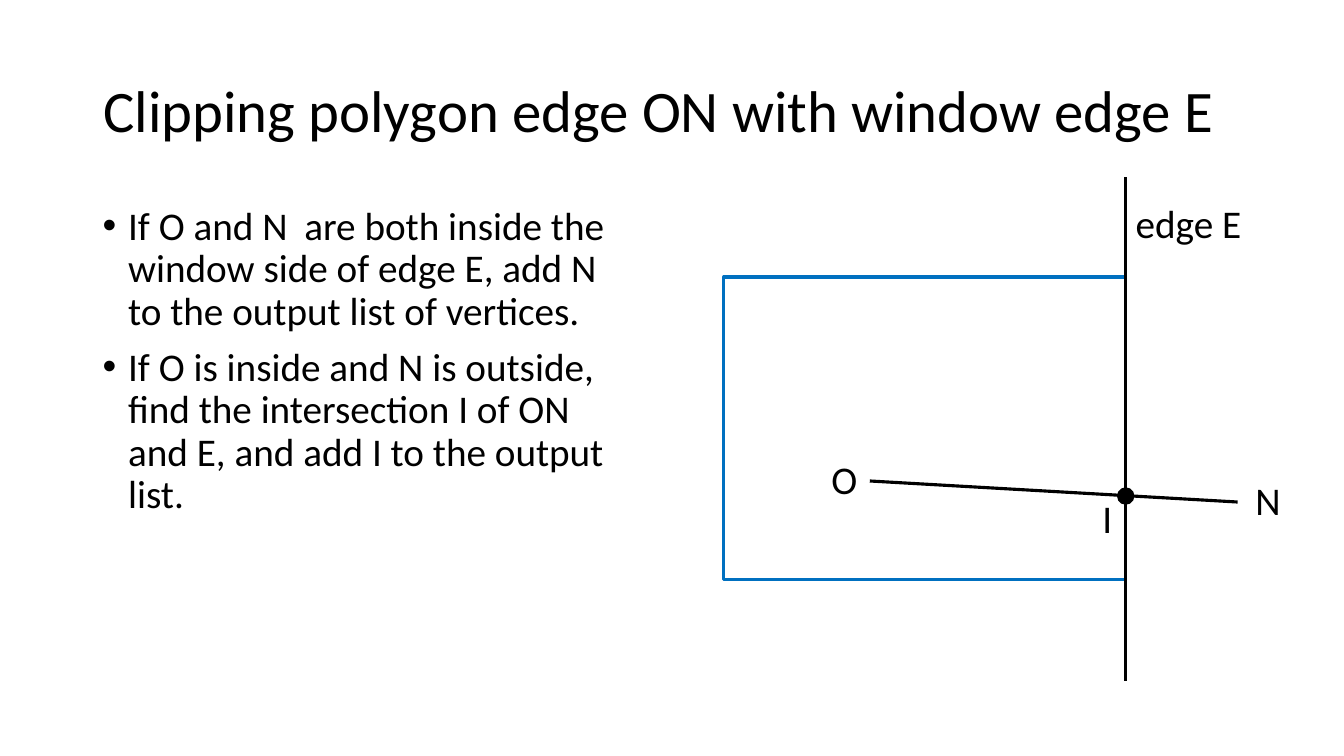
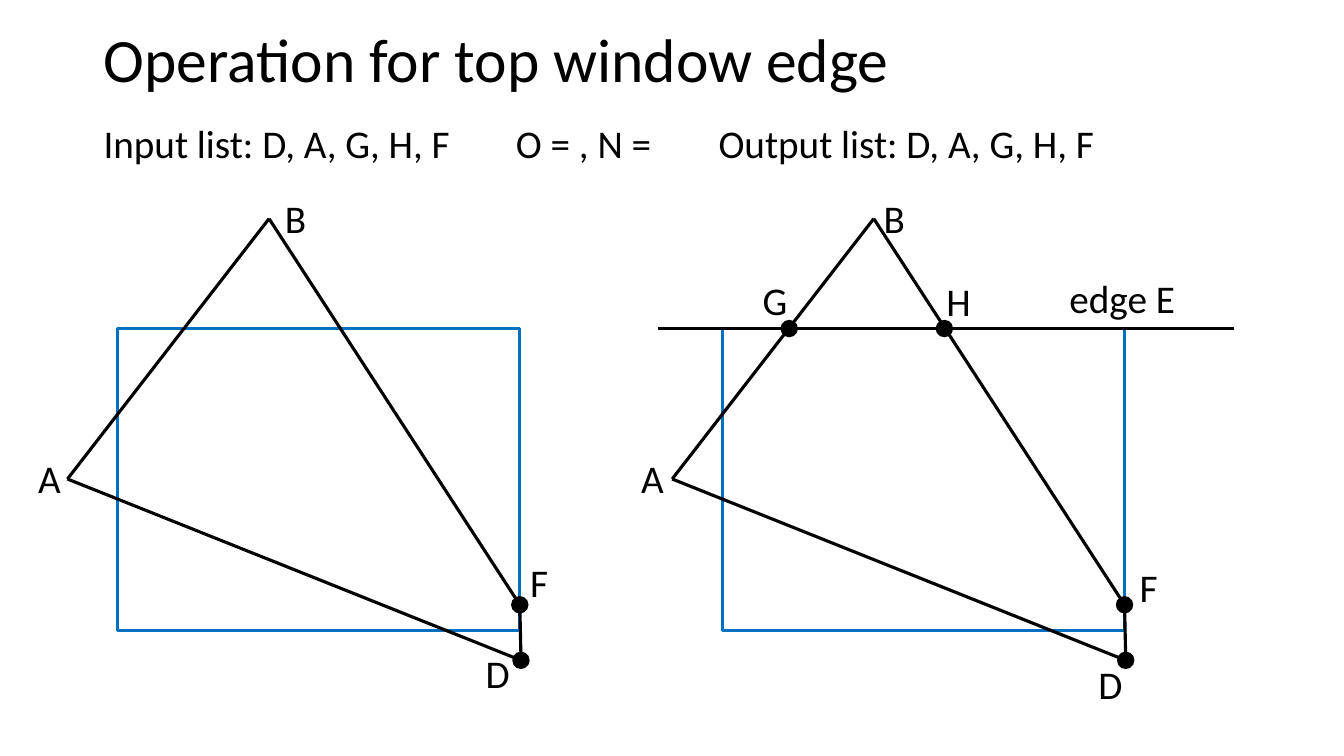
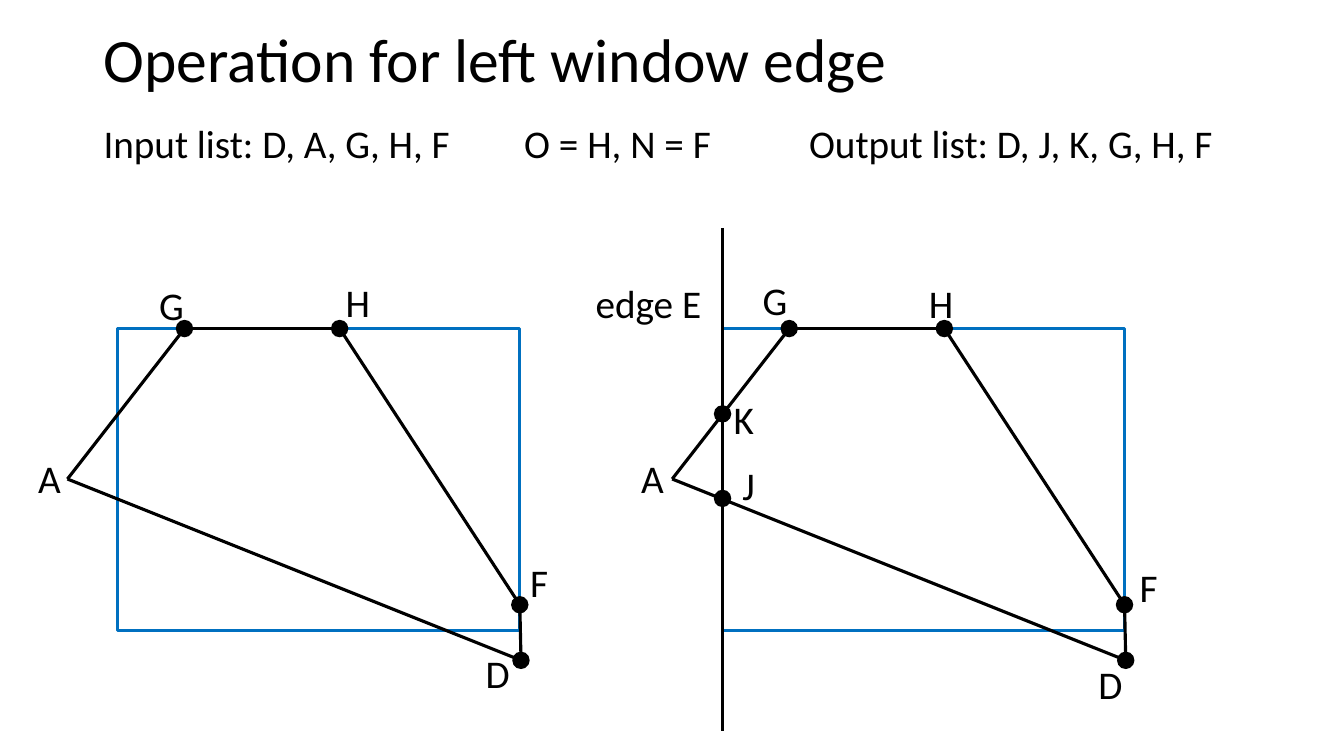
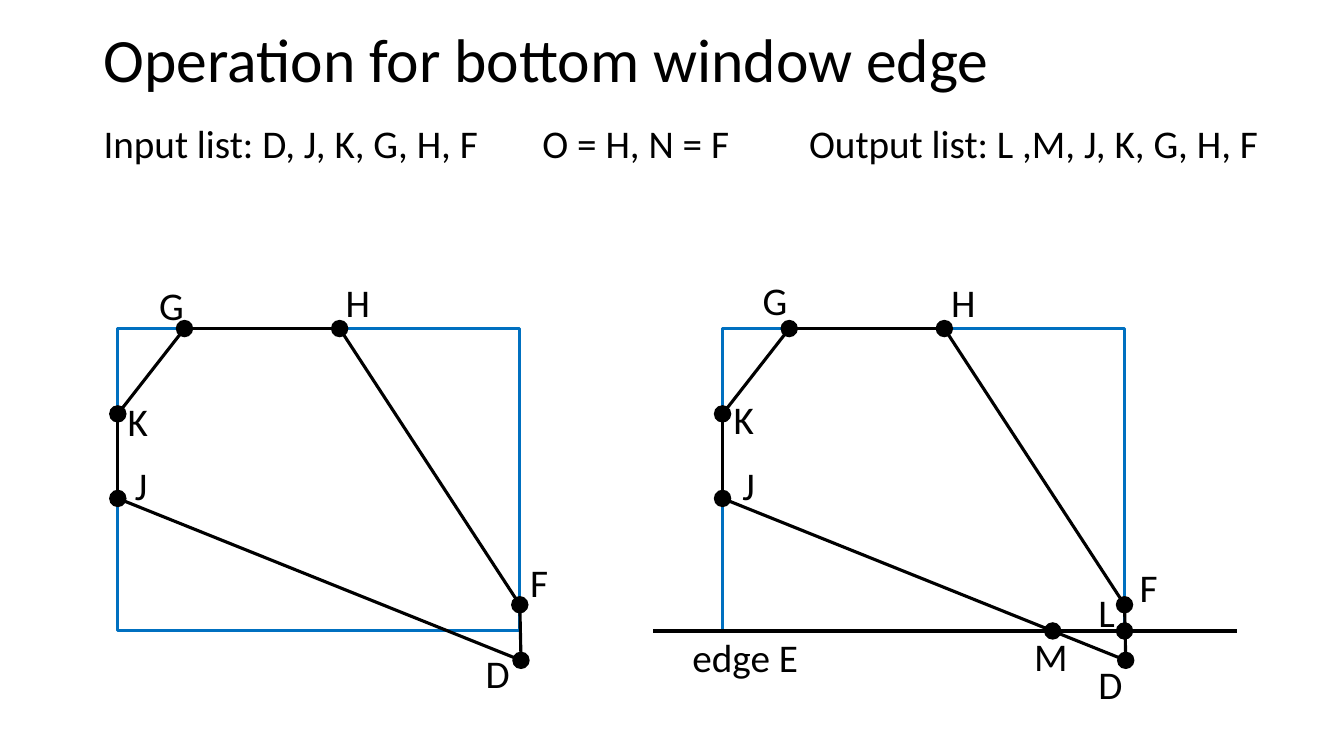
from dataclasses import dataclass

from lxml import etree
from pptx import Presentation
from pptx.dml.color import RGBColor
from pptx.enum import shapes, text
from pptx.oxml import ns
from pptx.util import Cm, Pt


@dataclass(frozen=True)
class Theme:
    font: str = "Calibri"
    ink: RGBColor = RGBColor(0x00, 0x00, 0x00)
    window: RGBColor = RGBColor(0x00, 0x70, 0xC0)
    line_width: float = 2.25
    long_title: int = 42
    title: int = 44
    body: int = 28
    spacing: float = 0.9
    before: int = 10


THEME = Theme()
TITLE_ONLY = 5
DOT = 0.44
PANEL_STEP = 15.24  # from the left figure to the right one

# Figure geometry in cm, given for the left figure.
WINDOW = (2.97, 8.28, 10.13, 7.62)
LEFT, TOP = WINDOW[:2]
RIGHT, BOTTOM = LEFT + WINDOW[2], TOP + WINDOW[3]
VERTICES = {
    "A": (1.7, 12.07), "B": (6.78, 5.51), "D": (13.13, 16.64),
    "F": (RIGHT, 15.24), "G": (4.65, TOP), "H": (8.56, TOP),
    "J": (LEFT, 12.56), "K": (LEFT, 10.43),
    "L": (RIGHT, BOTTOM), "M": (11.29, BOTTOM),
}
LEFT_LABELS = {
    "A": (0.71, 11.46), "B": (6.93, 4.9), "D": (11.99, 16.36),
    "F": (13.11, 14.07), "G": (3.76, 7.09), "H": (8.46, 7.01),
    "J": (3.15, 11.63), "K": (2.97, 10.01),
}
RIGHT_LABELS = {
    "A": (0.67, 11.47), "B": (6.78, 4.9), "D": (12.19, 16.64),
    "F": (13.23, 14.2), "G": (3.73, 6.96), "H": (8.42, 7.0),
    "J": (3.22, 11.63), "K": (3.0, 9.98),
    "L": (12.19, 14.83), "M": (10.57, 15.95),
}


def format_runs(p, size):
    for r in p.runs:
        r.font.name = THEME.font
        r.font.size = Pt(size)
        r.font.color.rgb = THEME.ink


def add_titled_slide(prs, title, size=THEME.title, top=0, height=3.15):
    slide = prs.slides.add_slide(prs.slide_layouts[TITLE_ONLY])
    sp = slide.shapes.title
    sp.left, sp.top, sp.width, sp.height = Cm(2.35), Cm(top), Cm(29.21), Cm(height)
    tf = sp.text_frame
    tf.text = title
    tf.auto_size = text.MSO_AUTO_SIZE.NONE
    tf.vertical_anchor = text.MSO_ANCHOR.MIDDLE
    p = tf.paragraphs[0]
    p.alignment = text.PP_ALIGN.LEFT
    p.line_spacing = THEME.spacing
    format_runs(p, size)
    return slide


def add_text(slide, lines, x, y, width, height, spaced=True):
    tf = slide.shapes.add_textbox(Cm(x), Cm(y), Cm(width), Cm(height)).text_frame
    tf.word_wrap = True
    tf.text = "\n".join(lines)
    for p in tf.paragraphs:
        if spaced:
            p.line_spacing = THEME.spacing
            p.space_before = Pt(THEME.before)
        format_runs(p, THEME.body)
    return tf


def add_bullets(slide, lines, x, y, width, height):
    for p in add_text(slide, lines, x, y, width, height).paragraphs:
        pPr = p._p.get_or_add_pPr()
        pPr.set("marL", str(Cm(0.64)))
        pPr.set("indent", str(-Cm(0.64)))
        etree.SubElement(pPr, ns.qn("a:buFont"), typeface="Arial")
        etree.SubElement(pPr, ns.qn("a:buChar"), char="•")


def add_lists_row(slide, parts, stops):
    """Write the parts on one line, each after the first at a tab stop."""
    tf = add_text(slide, ["\t".join(parts)], 2.36, 2.87, 30.25, 1.45, spaced=False)
    tabs = etree.SubElement(tf.paragraphs[0]._p.get_or_add_pPr(), ns.qn("a:tabLst"))
    for stop in stops:
        etree.SubElement(tabs, ns.qn("a:tab"), pos=str(Cm(stop)), algn="l")


def add_label(slide, caption, x, y):
    add_text(slide, [caption], x, y, 1.47 if len(caption) == 1 else 3.3, 1.65)


def add_line(slide, start, end):
    sp = slide.shapes.add_connector(
        shapes.MSO_CONNECTOR.STRAIGHT, *(Cm(v) for v in (*start, *end)))
    sp.line.color.rgb = THEME.ink
    sp.line.width = Pt(THEME.line_width)
    etree.SubElement(sp._element.spPr, ns.qn("a:effectLst"))


def add_window(slide, x, y, width, height):
    sp = slide.shapes.add_shape(
        shapes.MSO_SHAPE.RECTANGLE, Cm(x), Cm(y), Cm(width), Cm(height))
    sp.shadow.inherit = False
    sp.fill.background()
    sp.line.color.rgb = THEME.window
    sp.line.width = Pt(THEME.line_width)


def add_dot(slide, x, y):
    sp = slide.shapes.add_shape(
        shapes.MSO_SHAPE.OVAL, Cm(x - DOT / 2), Cm(y - DOT / 2), Cm(DOT), Cm(DOT))
    sp.shadow.inherit = False
    sp.fill.solid()
    sp.fill.fore_color.rgb = THEME.ink
    sp.line.fill.background()


def add_figure(slide, outline, dots, labels, shift=0):
    """Draw the window and a closed polygon, with dots and vertex names."""
    def moved(point):
        return point[0] + shift, point[1]

    add_window(slide, LEFT + shift, *WINDOW[1:])
    for a, b in zip(outline, outline[1:] + outline[:1]):
        add_line(slide, moved(VERTICES[a]), moved(VERTICES[b]))
    for name in dots:
        add_dot(slide, *moved(VERTICES[name]))
    for name in dict.fromkeys(outline + dots):
        add_label(slide, name, *moved(labels[name]))


def add_operation(prs, side, lists, stops, outline, dots, new_dots, edge,
                  edge_label, h_label):
    """Show the polygon before (left) and during (right) clipping by one edge."""
    slide = add_titled_slide(prs, f"Operation for {side} window edge")
    add_lists_row(slide, lists, stops)
    add_figure(slide, outline, dots, LEFT_LABELS)
    add_figure(slide, outline, dots + new_dots, {**RIGHT_LABELS, "H": h_label},
               PANEL_STEP)
    add_line(slide, *edge)
    add_label(slide, "edge E", *edge_label)


def add_rule_slide(prs):
    slide = add_titled_slide(prs, "Clipping polygon edge ON with window edge E",
                             THEME.long_title, 1.02, 3.68)
    add_bullets(slide, [
        "If O and N \tare both inside the window side of edge E, "
        "add N to the output list of vertices.",
        "If O is inside and N is outside, find the intersection I of ON and E, "
        "and add I to the output list.",
    ], 2.34, 5.08, 13.87, 12.09)
    add_window(slide, 18.24, 6.98, 10.13, 7.62)
    add_line(slide, (28.37, 4.47), (28.37, 17.17))
    add_line(slide, (21.92, 12.12), (31.19, 12.65))
    add_dot(slide, 28.37, 12.5)
    for caption, x, y in (("edge E", 28.37, 5.03), ("O", 20.7, 11.48),
                          ("N", 31.39, 12.01), ("I", 27.53, 12.47)):
        add_label(slide, caption, x, y)


def main():
    prs = Presentation()
    prs.slide_width, prs.slide_height = Cm(33.87), Cm(19.05)
    add_rule_slide(prs)
    add_operation(
        prs, "top",
        ("Input list: D, A, G, H, F", "O = , N =", "Output list: D, A, G, H, F"),
        (10.39, 15.5), "ABFD", "FD", "GH",
        ((16.59, TOP), (31.09, TOP)), (26.7, 6.91), (8.36, 6.99))
    add_operation(
        prs, "left",
        ("Input list: D, A, G, H, F", "O = H, N = F", "Output list: D, J, K, G, H, F"),
        (10.6, 17.78), "GADFH", "GHFD", "KJ",
        ((LEFT + PANEL_STEP, 5.74), (LEFT + PANEL_STEP, 18.42)),
        (14.76, 7.04), (7.92, 7.04))
    add_operation(
        prs, "bottom",
        ("Input list: D, J, K, G, H, F", "O = H, N = F", "Output list: L ,M, J, K, G, H, F"),
        (11.06, 17.78), "GKJDFH", "GKJDFH", "LM",
        ((16.46, BOTTOM), (31.17, BOTTOM)), (17.2, 15.98), (8.48, 7.01))
    prs.save("out.pptx")


if __name__ == "__main__":
    main()
